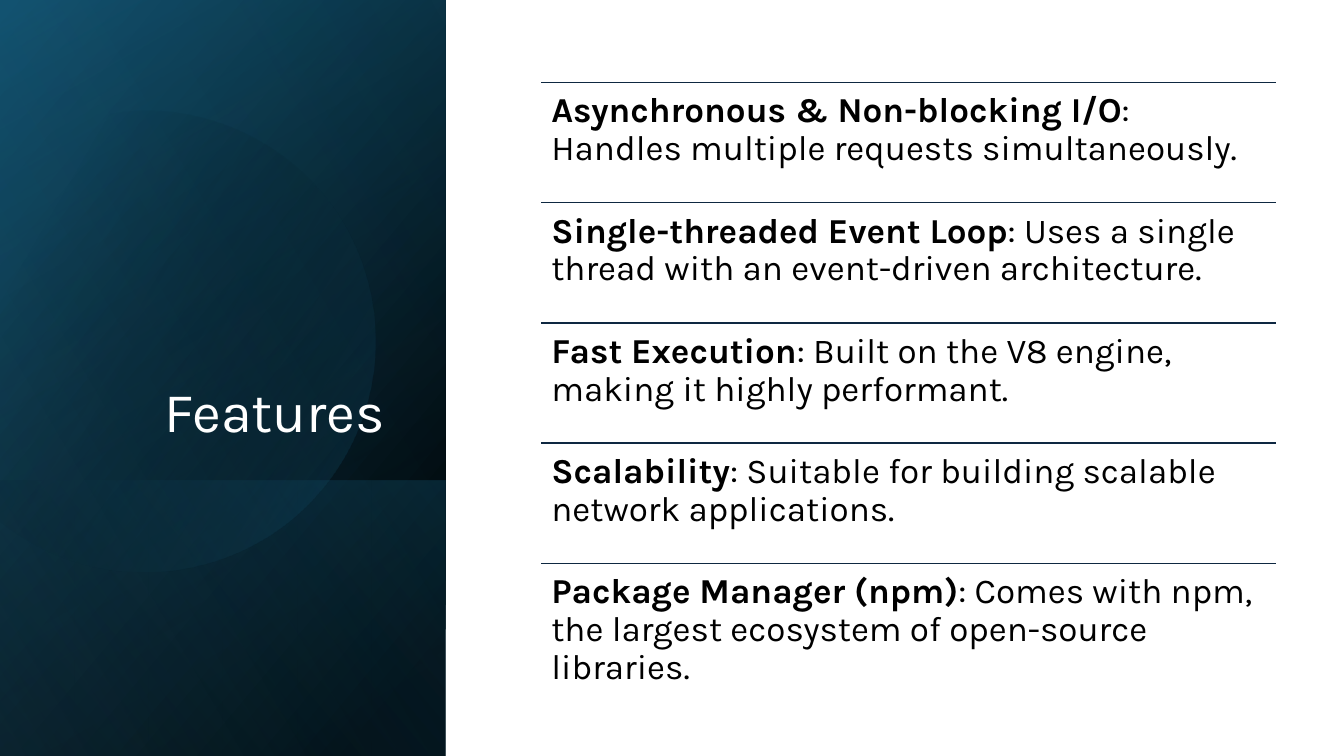
from dataclasses import dataclass
from math import cos, radians, sin

from lxml.etree import SubElement
from pptx import Presentation
from pptx.dml.color import RGBColor
from pptx.enum.shapes import MSO_CONNECTOR, MSO_SHAPE
from pptx.enum.text import MSO_ANCHOR, PP_ALIGN
from pptx.oxml.ns import qn
from pptx.util import Inches, Pt


@dataclass(frozen=True)
class Theme:
    """Colours, font and type sizes of the slide."""
    font: str = "Karla"
    title: int = 40
    body: int = 25
    white: str = "FFFFFF"
    black: str = "000000"
    navy: str = "0E2841"
    deep: str = "104862"
    teal: str = "156082"
    sky: str = "46B1E1"


THEME = Theme()
FULL = (-1.54, 1.54, 7.5, 4.42)
LOW = (0.84, 3.93, 2.74, 4.42)
PANELS = [
    (FULL, 50, [(8, THEME.black, 100), (100, THEME.deep, 100)]),
    (FULL, 30, [(0, THEME.black, 0), (99, THEME.teal, 46)]),
    (LOW, 130, [(2, THEME.teal, 29), (100, THEME.black, 30)]),
]
GLOW = (FULL, 120, [(0, THEME.black, 0), (99, THEME.sky, 11)])
DISC = [(29, THEME.black, 0), (100, THEME.teal, 43)]
DISC_BOX = (-0.55, 1.06, 4.27, 4.57)
DISC_TURN = 343.9
OUTLINE = [
    ("moveTo", [(1.49, 1.1)]),
    ("cubicBezTo", [(2.46, 1.12), (3.35, 1.77), (3.63, 2.75)]),
    ("cubicBezTo", [(3.98, 3.97), (3.28, 5.23), (2.07, 5.58)]),
    ("cubicBezTo", [(1.31, 5.8), (0.53, 5.61), (-0.03, 5.14)]),
    ("lnTo", [(-0.15, 5.03)]),
    ("lnTo", [(-0.15, 1.75)]),
    ("lnTo", [(0, 1.61)]),
    ("cubicBezTo", [(0.23, 1.42), (0.5, 1.28), (0.8, 1.19)]),
    ("cubicBezTo", [(1.03, 1.13), (1.26, 1.1), (1.49, 1.1)]),
    ("close", []),
]
ITEMS = [
    ("Asynchronous & Non-blocking I/O", "Handles multiple requests simultaneously."),
    ("Single-threaded Event Loop", "Uses a single thread with an event-driven architecture."),
    ("Fast Execution", "Built on the V8 engine, making it highly performant."),
    ("Scalability", "Suitable for building scalable network applications."),
    ("Package Manager (npm)", "Comes with npm, the largest ecosystem of open-source libraries."),
]


def apply(target, values):
    """Set each named value on the target."""
    for name, value in values.items():
        setattr(target, name, value)


def shade(shape, angle, stops, turn="1"):
    """Give a shape a gradient with transparent stops and no outline."""
    shape.shadow.inherit = False
    shape.line.fill.background()
    shape.fill.gradient()
    grad = shape._element.spPr.find(qn("a:gradFill"))
    grad.set("rotWithShape", turn)
    for child in list(grad):
        grad.remove(child)
    group = SubElement(grad, qn("a:gsLst"))
    for place, color, alpha in stops:
        stop = SubElement(group, qn("a:gs"), pos=str(place * 1000))
        tone = SubElement(stop, qn("a:srgbClr"), val=color)
        SubElement(tone, qn("a:alpha"), val=str(alpha * 1000))
    SubElement(grad, qn("a:lin"), ang=str(angle * 60000), scaled="0")


def panel(slide, box, angle, stops):
    """Add a turned and mirrored gradient rectangle."""
    shape = slide.shapes.add_shape(MSO_SHAPE.RECTANGLE, *map(Inches, box))
    shape.rotation = 90
    shape._element.spPr.find(qn("a:xfrm")).set("flipH", "1")
    shade(shape, angle, stops)


def local(point):
    """Turn a slide point back into the frame of the disc, in EMU."""
    left, top, width, height = DISC_BOX
    x, y = point[0] - left - width / 2, point[1] - top - height / 2
    turn = radians(-DISC_TURN)
    return (Inches(x * cos(turn) - y * sin(turn) + width / 2),
            Inches(x * sin(turn) + y * cos(turn) + height / 2))


def disc(slide):
    """Add the large cut circle with a curved outline."""
    left, top, width, height = map(Inches, DISC_BOX)
    right, low = left + width, top + height
    form = slide.shapes.build_freeform(left, top)
    form.add_line_segments([(right, top), (right, low), (left, low)])
    shape = form.convert_to_shape()
    shape.rotation = DISC_TURN
    track = next(shape._element.spPr.iter(qn("a:path")))
    for child in list(track):
        track.remove(child)
    for kind, points in OUTLINE:
        part = SubElement(track, qn(f"a:{kind}"))
        for x, y in map(local, points):
            SubElement(part, qn("a:pt"), x=str(x), y=str(y))
    shade(shape, 30, DISC, "0")


def label(slide, box, runs, size, color, frame, align):
    """Add a wrapped text box with runs of (text, bold)."""
    text = slide.shapes.add_textbox(*map(Inches, box)).text_frame
    apply(text, {"word_wrap": True, **frame})
    para = text.paragraphs[0]
    apply(para, {"alignment": align, "line_spacing": 0.9})
    for words, bold in runs:
        run = para.add_run()
        run.text = words
        apply(run.font, {"name": THEME.font, "size": Pt(size), "bold": bold})
        run.font.color.rgb = RGBColor.from_string(color)


def rule(slide, left, top, width):
    """Add a thin level line."""
    ends = map(Inches, (left, top, left + width, top))
    line = slide.shapes.add_connector(MSO_CONNECTOR.STRAIGHT, *ends)
    line.line.width = Pt(1)
    line.line.color.rgb = RGBColor.from_string(THEME.navy)
    SubElement(line._element.spPr, qn("a:effectLst"))


def main():
    """Build and save the slide."""
    deck = Presentation()
    apply(deck, {"slide_width": Inches(13.33), "slide_height": Inches(7.5)})
    slide = deck.slides.add_slide(deck.slide_layouts[6])
    for item in PANELS:
        panel(slide, *item)
    disc(slide)
    panel(slide, *GLOW)
    label(slide, (0.64, 1.84, 3.41, 2.62), [("Features ", False)], THEME.title,
          THEME.white, {"vertical_anchor": MSO_ANCHOR.BOTTOM}, PP_ALIGN.RIGHT)
    left, top, width, height = 5.37, 0.82, 7.29, 5.96
    pitch = height / len(ITEMS)
    sides = ("left", "top", "right", "bottom")
    frame = {f"margin_{side}": Inches(0.1) for side in sides}
    for row, (head, note) in enumerate(ITEMS):
        y = top + row * pitch
        rule(slide, left, y, width)
        label(slide, (left, y, width, pitch), [(head, True), (f": {note}", False)],
              THEME.body, THEME.black, frame, PP_ALIGN.LEFT)
    deck.save("out.pptx")


if __name__ == "__main__":
    main()
